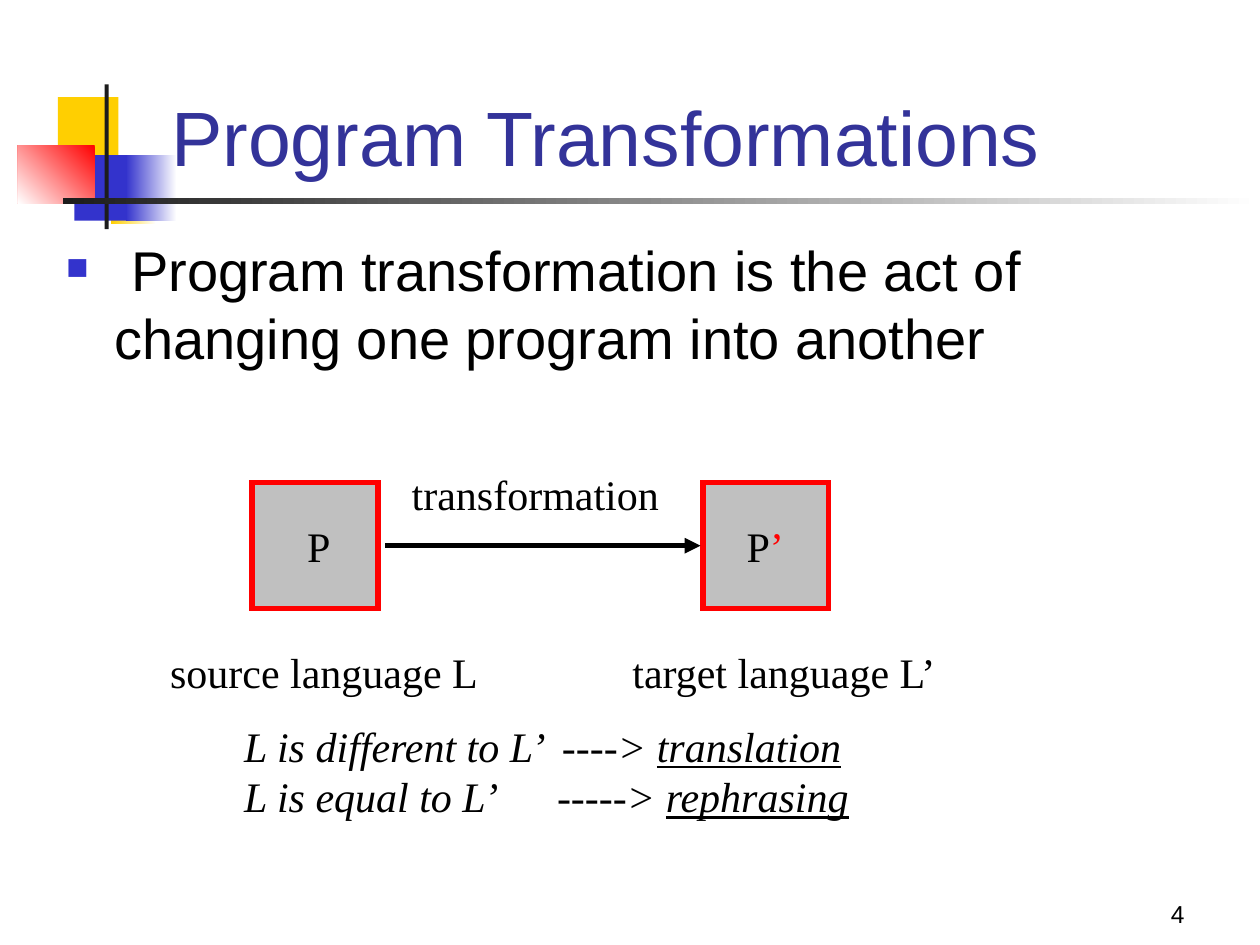
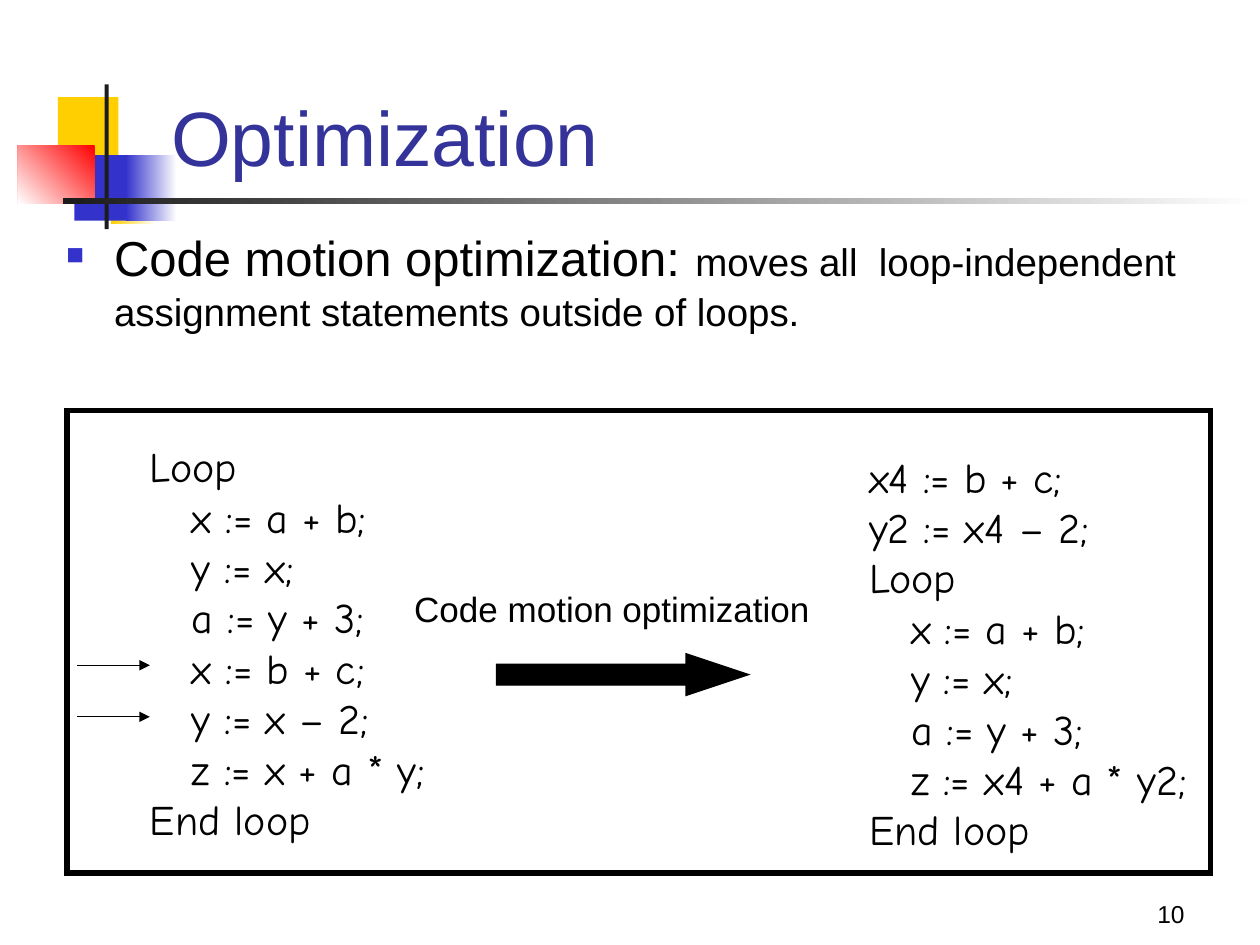
from lxml.etree import SubElement
from pptx import Presentation
from pptx.dml.color import RGBColor
from pptx.enum.shapes import MSO_CONNECTOR as Connector, MSO_SHAPE as Preset
from pptx.enum.text import (
    MSO_ANCHOR as Anchor, MSO_AUTO_SIZE as AutoSize, PP_ALIGN as Align)
from pptx.oxml.ns import qn
from pptx.util import Cm, Pt

# Colours
BLACK = RGBColor(0x00, 0x00, 0x00)
WHITE = RGBColor(0xFF, 0xFF, 0xFF)
RED = RGBColor(0xFF, 0x00, 0x00)
YELLOW = RGBColor(0xFF, 0xCF, 0x01)
BLUE = RGBColor(0x33, 0x33, 0xCC)
TITLE_BLUE = RGBColor(0x33, 0x33, 0x99)
CHARCOAL = RGBColor(0x1C, 0x1C, 0x1C)
GREY = RGBColor(0xC0, 0xC0, 0xC0)

# Text formats
TITLE = dict(name="Arial", size=Pt(44))
BODY = dict(name="Arial", size=Pt(32))
NUMBER = dict(name="Arial", size=Pt(14))
CAPTION = dict(name="Arial", size=Pt(20))
DIAGRAM = dict(name="Times New Roman", size=Pt(24))
RULE = dict(DIAGRAM, italic=True)
CODE = dict(name="Comic Neue", size=Pt(24))

# Title decoration: left, top, width, height, colours, angle
DECORATION = [
    (1.17, 1.96, 1.22, 1.32, [YELLOW], None),
    (2.24, 3.2, 0.91, 1.32, [WHITE, YELLOW], 180),
    (1.5, 3.13, 1.17, 1.32, [BLUE], None),
    (2.54, 3.13, 1.02, 1.32, [WHITE, BLUE], 180),
    (0.36, 2.93, 1.55, 1.17, [RED, WHITE], 225),
    (2.11, 1.7, 0.08, 2.92, [CHARCOAL], None),
    (1.27, 3.99, 24.13, 0.13, [WHITE, CHARCOAL], 180),
]

CODE_BEFORE = """Loop
   x := a + b;
   y := x;
   a := y + 3;
   x := b + c;
   y := x – 2;
   z := x + a * y;
End loop"""

CODE_AFTER = """x4 := b + c;
y2 := x4 – 2;
Loop
   x := a + b;
   y := x;
   a := y + 3;
   z := x4 + a * y2;
End loop"""


def add_preset(slide, preset, box, fill=None, line=None, line_width=3):
    """Add a preset shape with a plain fill and a sharp-cornered outline."""
    shape = slide.shapes.add_shape(preset, *map(Cm, box))
    shape.shadow.inherit = False
    if fill is None:
        shape.fill.background()
    else:
        shape.fill.solid()
        shape.fill.fore_color.rgb = fill
    if line is None:
        shape.line.fill.background()
    else:
        shape.line.color.rgb = line
        shape.line.width = Pt(line_width)
        SubElement(shape.line._get_or_add_ln(), qn("a:miter"), lim="800000")
    return shape


def add_arrow(slide, left, right, y, width):
    """Add a horizontal line with an arrowhead at its right end."""
    arrow = slide.shapes.add_connector(
        Connector.STRAIGHT, Cm(left), Cm(y), Cm(right), Cm(y))
    arrow.line.color.rgb = BLACK
    arrow.line.width = Pt(width)
    SubElement(arrow.line._get_or_add_ln(), qn("a:tailEnd"), type="triangle")
    SubElement(arrow._element.spPr, qn("a:effectLst"))


def add_run(paragraph, text, style, color=BLACK, **changes):
    run = paragraph.add_run()
    run.text = text
    for name, value in {**style, **changes}.items():
        setattr(run.font, name, value)
    run.font.color.rgb = color


def add_frame(slide, box, wrap=True, anchor=Anchor.TOP):
    """Add an empty text box and give its text frame."""
    frame = slide.shapes.add_textbox(*map(Cm, box)).text_frame
    frame.word_wrap = wrap
    frame.vertical_anchor = anchor
    return frame


def add_label(slide, box, lines, style):
    """Add unwrapped lines; each is a list of (text, run changes)."""
    frame = add_frame(slide, box, wrap=False)
    frame.auto_size = AutoSize.SHAPE_TO_FIT_TEXT
    for index, runs in enumerate(lines):
        paragraph = frame.add_paragraph() if index else frame.paragraphs[0]
        paragraph.line_spacing = Pt(style["size"].pt * 1.2)
        for text, changes in runs:
            add_run(paragraph, text, style, **changes)
    return frame


def add_text(slide, box, text, style):
    lines = [[(line, {})] for line in text.split("\n")]
    return add_label(slide, box, lines, style)


def add_bullet(slide, top, runs):
    """Add the body text with its square blue bullet."""
    paragraph = add_frame(slide, (1.09, top, 23.6, 12.8)).paragraphs[0]
    properties = paragraph._p.get_or_add_pPr()
    properties.set("marL", str(Cm(0.96)))
    properties.set("indent", str(-Cm(0.96)))
    color = SubElement(properties, qn("a:buClr"))
    SubElement(color, qn("a:srgbClr"), val=str(BLUE))
    SubElement(properties, qn("a:buSzPct"), val="60000")
    SubElement(properties, qn("a:buFont"), typeface="Arial")
    SubElement(properties, qn("a:buChar"), char="■")
    for text, changes in runs:
        add_run(paragraph, text, BODY, **changes)


def add_tab_stop(paragraph, position):
    tabs = SubElement(paragraph._p.get_or_add_pPr(), qn("a:tabLst"))
    SubElement(tabs, qn("a:tab"), pos=str(Cm(position)), algn="l")


def add_base_slide(presentation, title, number):
    """Add a slide with decoration, title and slide number."""
    slide = presentation.slides.add_slide(presentation.slide_layouts[6])
    for *box, colors, angle in DECORATION:
        shape = add_preset(slide, Preset.RECTANGLE, box, colors[0])
        if angle is not None:
            shape.fill.gradient()
            shape.fill.gradient_angle = angle
            for stop, color in zip(shape.fill.gradient_stops, colors):
                stop.color.rgb = color
    frame = add_frame(slide, (18.85, 17.58, 5.28, 1.27), anchor=Anchor.BOTTOM)
    frame.paragraphs[0].alignment = Align.RIGHT
    add_run(frame.paragraphs[0], str(number), NUMBER)
    frame = add_frame(slide, (3.2, 0.32, 21.64, 3.48), anchor=Anchor.BOTTOM)
    add_run(frame.paragraphs[0], title, TITLE, TITLE_BLUE)
    return slide


def build_transformations(presentation):
    slide = add_base_slide(presentation, "Program Transformations", 4)
    add_bullet(slide, 4.52, [
        (" ", dict(size=Pt(35), italic=True)),
        ("Program transformation is the act of changing one program "
         "into another", {}),
    ])

    # Source and target programs
    for left in (5.08, 14.17):
        add_preset(slide, Preset.RECTANGLE, (left, 9.73, 2.54, 2.54), GREY, RED)
    add_text(slide, (3.18, 12.9, 6.71, 1.27), "source language L", DIAGRAM)
    add_text(slide, (12.5, 12.9, 6.71, 1.27), "target language L’", DIAGRAM)
    add_text(slide, (5.94, 10.36, 0.97, 1.27), "P", DIAGRAM)
    add_label(slide, (14.8, 10.36, 1.3, 1.27),
              [[("P", {}), ("’", dict(color=RED))]], DIAGRAM)
    add_arrow(slide, 7.77, 14.12, 11, 3)
    add_text(slide, (8.05, 9.32, 5.49, 1.27), "transformation", DIAGRAM)

    # Kinds of transformation
    frame = add_label(slide, (4.67, 14.4, 12.85, 2.29), [
        [("L is different to L’\t----> ", {}),
         ("translation", dict(underline=True))],
        [("L is equal to L’\t-----> ", {}),
         ("rephrasing", dict(underline=True))],
    ], RULE)
    for paragraph, position in zip(frame.paragraphs, (6.41, 6.31)):
        add_tab_stop(paragraph, position)


def build_optimization(presentation):
    slide = add_base_slide(presentation, "Optimization", 10)
    add_bullet(slide, 4.32, [
        ("Code motion optimization:", dict(size=Pt(28))),
        (" ", {}),
        ("moves all  loop-independent assignment statements outside of loops.",
         dict(size=Pt(22))),
    ])

    # Code before and after
    add_text(slide, (2.77, 8.76, 6.05, 8.38), CODE_BEFORE, CODE)
    add_text(slide, (17.27, 8.97, 6.91, 8.38), CODE_AFTER, CODE)
    for y in (13.41, 14.45):
        add_arrow(slide, 1.55, 3.02, y, 0.75)
    add_preset(slide, Preset.RECTANGLE, (1.35, 8.28, 23.06, 9.32), line=BLACK)

    # Step between the two
    arrow = add_preset(slide, Preset.RIGHT_ARROW, (10.01, 13.18, 5.08, 0.84),
                       BLACK, BLACK, 0.75)
    arrow.adjustments[1] = 1.5
    add_text(slide, (8.1, 11.71, 8.48, 1.12), "Code motion optimization",
             CAPTION)


def main():
    presentation = Presentation()
    presentation.slide_width = Cm(25.4)
    presentation.slide_height = Cm(19.05)
    build_transformations(presentation)
    build_optimization(presentation)
    presentation.save("out.pptx")


if __name__ == "__main__":
    main()
